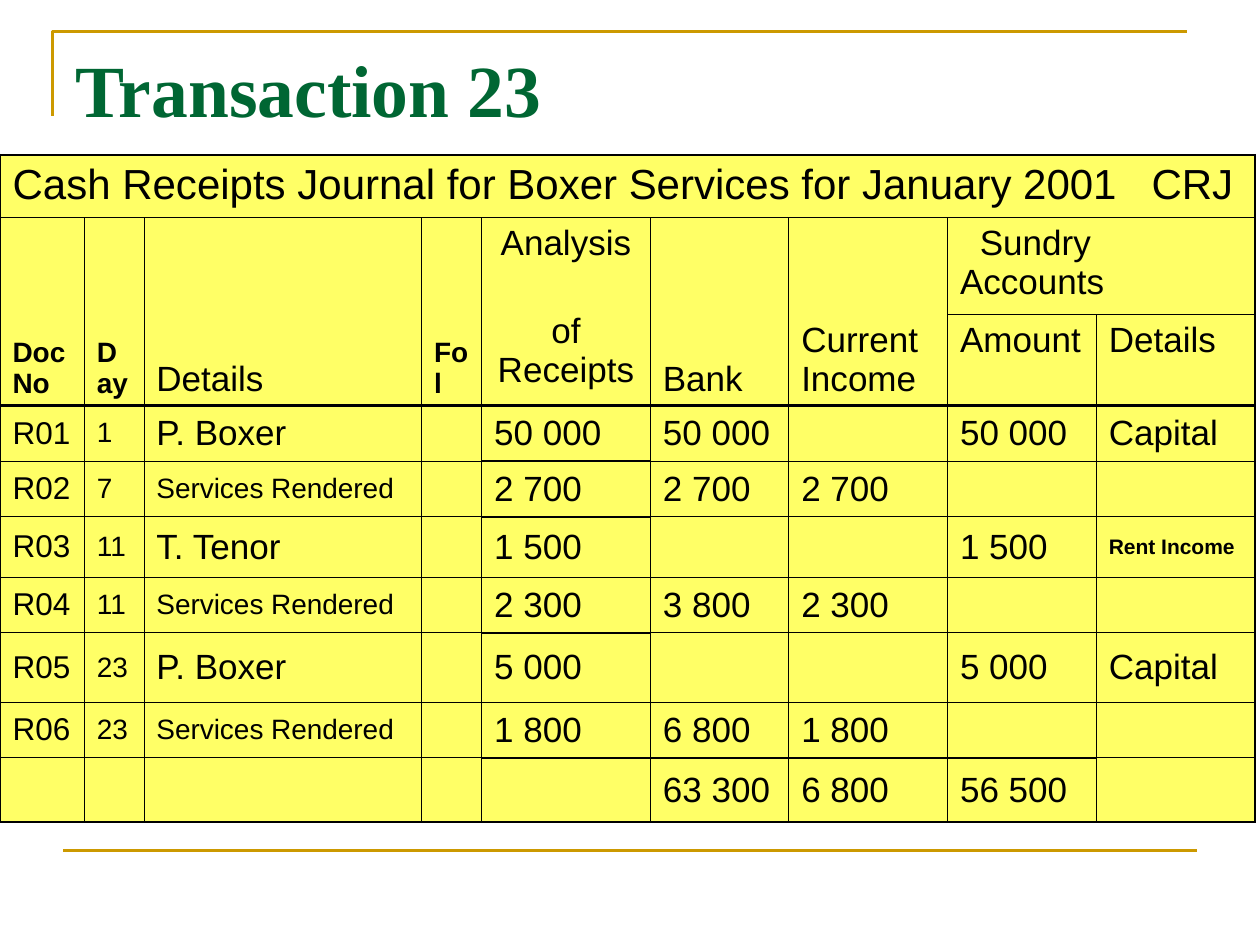
"""Build the Transaction 23 slide with its cash receipts journal."""
from lxml.etree import SubElement as Sub
from pptx import Presentation as Deck
from pptx.dml.color import RGBColor as RGB
from pptx.enum.shapes import MSO_CONNECTOR as Link
from pptx.enum.text import MSO_ANCHOR as Anchor, PP_ALIGN as Align
from pptx.oxml.ns import qn
from pptx.util import Cm, Pt

HUES = {"gold": "CC9900", "green": "006633", "yellow": "FFFF66", "black": "000000"}
THIN, EDGE, BOLD = 0.45, 1.08, 1.47


def style(par, size, bold=False, hue="black", face="Arial"):
    font = par.font
    font.size, font.bold, font.name = Pt(size), bold, face
    font.color.rgb = RGB.from_string(HUES[hue])


def rule(cell, side, width):
    line = Sub(cell._tc.get_or_add_tcPr(), qn("a:ln" + side), w=str(Pt(width)))
    fill = Sub(line, qn("a:solidFill"))
    Sub(fill, qn("a:srgbClr"), val=HUES["black"])


deck = Deck()
deck.slide_width, deck.slide_height = Cm(25.4), Cm(19.05)
slide = deck.slides.add_slide(deck.slide_layouts[6])
shapes = slide.shapes

pen = shapes.build_freeform(Cm(1.06), Cm(2.33))
pen.add_line_segments([(Cm(1.06), Cm(0.64)), (Cm(23.92), Cm(0.64))], close=False)
frame = pen.convert_to_shape()
frame.shadow.inherit = False
frame.fill.background()
foot = shapes.add_connector(Link.STRAIGHT, Cm(1.27), Cm(17.15), Cm(24.13), Cm(17.15))
Sub(foot._element.spPr, qn("a:effectLst"))
for item in (frame, foot):
    item.line.color.rgb = RGB.from_string(HUES["gold"])
    item.line.width = Pt(1.5)

title = shapes.add_textbox(Cm(1.27), Cm(0.76), Cm(22.86), Cm(3.18)).text_frame
title.word_wrap = True
title.text = "Transaction 23"
style(title.paragraphs[0], 42, True, "green", "Times New Roman")

wide = [1.7, 1.2, 5.6, 1.21, 3.4, 2.79, 3.2, 3, 3.2]
high = [1.12, 1.12, 1.6, 1.12, 1.12, 1.22, 1.12, 1.4, 1.12, 1.3]
rows = [
    ["Cash Receipts Journal for Boxer Services for January 2001\tCRJ"] + [""] * 8,
    ["Doc No", "Day", "Details", "Fol", "Analysis\nof Receipts", "Bank",
     "Current Income", "Sundry Accounts", ""],
    [""] * 7 + ["Amount", "Details"],
    ["R01", "1", "P. Boxer", "", "50 000", "50 000", "", "50 000", "Capital"],
    ["R02", "7", "Services Rendered", "", "2 700", "2 700", "2 700", "", ""],
    ["R03", "11", "T. Tenor", "", "1 500", "", "", "1 500", "Rent Income"],
    ["R04", "11", "Services Rendered", "", "2 300", "3 800", "2 300", "", ""],
    ["R05", "23", "P. Boxer", "", "5 000", "", "", "5 000", "Capital"],
    ["R06", "23", "Services Rendered", "", "1 800", "6 800", "1 800", "", ""],
    ["", "", "", "", "", "63 300", "6 800", "56 500", ""],
]
sizes = {"Services Rendered": 16, "Rent Income": 12, "Doc No": 16, rows[0][0]: 24}
strong = {"Doc No", "Day", "Fol", "Rent Income"}
heavy = {(r, c) for r, cols in {1: range(7), 2: range(9), 3: [4], 4: [4], 6: [4],
                                8: range(4, 8), 9: range(5, 8)}.items() for c in cols}

grid = shapes.add_table(10, 9, Cm(0), Cm(3.12), Cm(sum(wide)), Cm(sum(high))).table
grid.first_row = grid.horz_banding = False
for col, width in zip(grid.columns, wide):
    col.width = Cm(width)
for row, height in zip(grid.rows, high):
    row.height = Cm(height)

for r, row in enumerate(rows):
    for c, text in enumerate(row):
        cell = grid.cell(r, c)
        last = c == 8 or (r, c) in {(0, 0), (1, 7)}
        rule(cell, "L", EDGE if c == 0 else THIN)
        rule(cell, "R", EDGE if last else THIN)
        rule(cell, "T", EDGE if r == 0 else BOLD if (r - 1, c) in heavy else THIN)
        rule(cell, "B", BOLD if (r, c) in heavy else EDGE if r == 9 else THIN)
        cell.fill.solid()
        cell.fill.fore_color.rgb = RGB.from_string(HUES["yellow"])
        if r > 2:
            cell.vertical_anchor = Anchor.MIDDLE
        elif r == 1 and c not in (4, 7):
            cell.vertical_anchor = Anchor.BOTTOM
        if text:
            cell.text = text
            base = {0: 18, 1: 16, 3: 16}.get(c, 20)
            for par in cell.text_frame.paragraphs:
                if r == 0:
                    tabs = Sub(par._p.get_or_add_pPr(), qn("a:tabLst"))
                    Sub(tabs, qn("a:tab"), pos=str(Cm(22.96)), algn="l")
                style(par, sizes.get(text, base), text in strong)

for par in grid.cell(1, 4).text_frame.paragraphs:
    par.alignment = Align.CENTER
par.space_before = Pt(28)
sundry = grid.cell(1, 7).text_frame.paragraphs[0]
sundry._p.get_or_add_pPr().set("indent", str(Cm(0.4)))

grid.cell(0, 0).merge(grid.cell(0, 8))
grid.cell(1, 7).merge(grid.cell(1, 8))
for c in range(7):
    grid.cell(1, c).merge(grid.cell(2, c))

deck.save("out.pptx")
